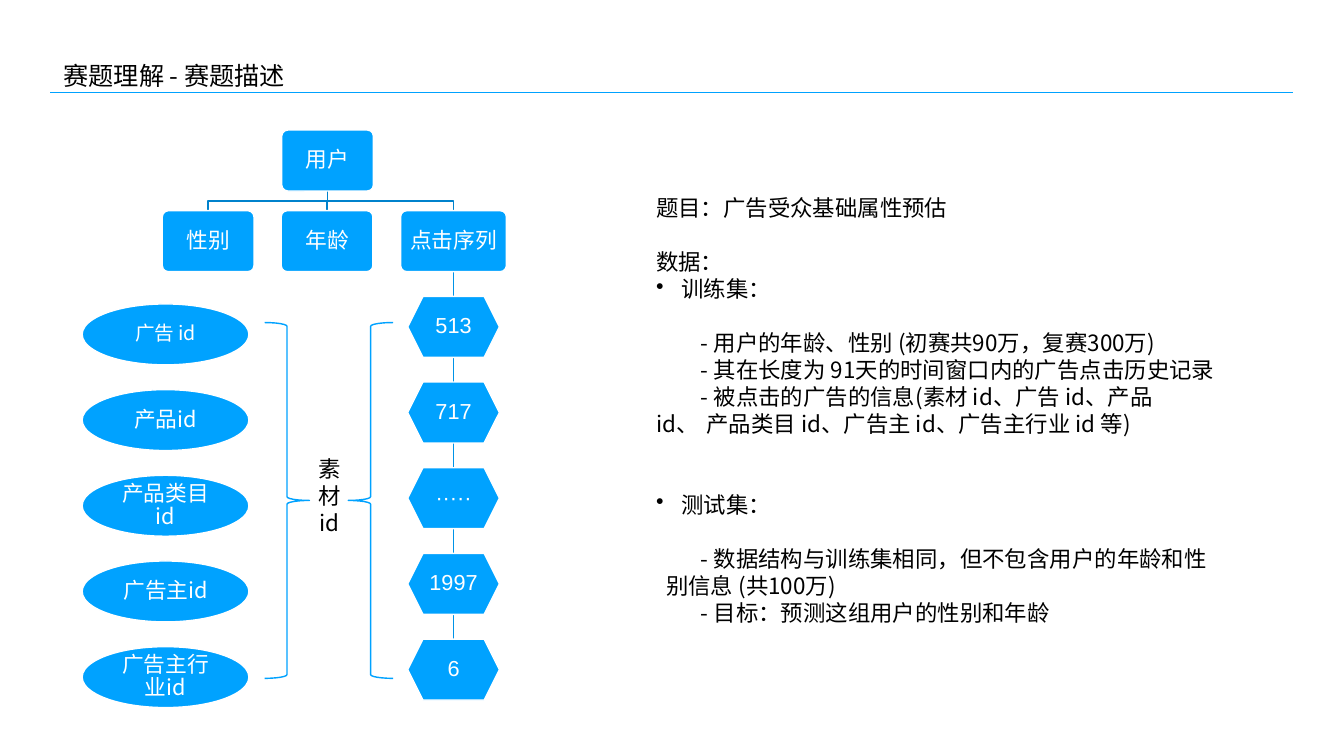
"""Build the task description slide: user data tree, id mapping and dataset notes."""
from lxml import etree
from pptx import Presentation
from pptx import util as u
from pptx.dml.color import RGBColor
from pptx.enum import shapes, text
from pptx.oxml import ns

COLORS = {"blue": "00A2FF", "branch": "0082CC", "chain": "0093E7", "white": "FFFFFF", "black": "000000"}
RGB = {name: RGBColor.from_string(value) for name, value in COLORS.items()}
CJK = "Noto Sans CJK SC"
KIND = shapes.MSO_SHAPE
ALIGN = text.PP_ALIGN
WIDTH, HEIGHT = 26.67, 15
ROW = 1.7
NODE_W, NODE_H = 1.82, 1.21
USER_TOP, CHILD_TOP = 2.58, 4.18
CHAIN_X, CHAIN_TOP = 9, 5.88
ID_LEFT, ID_TOP, ID_W = 1.63, 6.03, 3.31
LINE_PITCH = u.Pt(38.5)

deck = Presentation()
deck.slide_width, deck.slide_height = u.Inches(WIDTH), u.Inches(HEIGHT)
slide = deck.slides.add_slide(deck.slide_layouts[5])


def write(frame, content, size, font, color, inset, **paragraph_format):
    frame.word_wrap = True
    frame.auto_size = text.MSO_AUTO_SIZE.NONE
    frame.vertical_anchor = text.MSO_ANCHOR.MIDDLE
    for side in ("left", "right", "top", "bottom"):
        setattr(frame, f"margin_{side}", u.Inches(inset))
    frame.text = content
    for paragraph in frame.paragraphs:
        for key, value in paragraph_format.items():
            setattr(paragraph, key, value)
        for run in paragraph.runs:
            run.font.size, run.font.name = u.Pt(size), font
            run.font.color.rgb = RGB[color]


def rule(start_x, start_y, end_x, end_y, color):
    line = slide.shapes.add_connector(shapes.MSO_CONNECTOR.STRAIGHT, *map(u.Inches, (start_x, start_y, end_x, end_y)))
    line.line.color.rgb, line.line.width = RGB[color], u.Pt(2)
    etree.SubElement(line._element.spPr, ns.qn("a:effectLst"))


rule(1, 1.83, 25.65, 1.83, "blue")
heading = slide.shapes.title
place = {"left": 1.18, "top": 1.11, "width": 21.61, "height": 0.76}
for key, value in place.items():
    setattr(heading, key, u.Inches(value))
write(heading.text_frame, "赛题理解 - 赛题描述", 36, CJK, "black", 0.08, alignment=ALIGN.LEFT)

user_x, user_bottom = 6.5, USER_TOP + NODE_H
fork_y = (user_bottom + CHILD_TOP) / 2
attributes = [("性别", 4.13, NODE_W), ("年龄", 6.49, NODE_W), ("点击序列", CHAIN_X, 2.1)]
for label, center, width in attributes:
    route = [(user_x, user_bottom), (user_x, fork_y), (center, fork_y), (center, CHILD_TOP)]
    points = [(u.Inches(x), u.Inches(y)) for x, y in route]
    outline = slide.shapes.build_freeform(*points[0], scale=1.0)
    outline.add_line_segments(points[1:], close=False)
    branch = outline.convert_to_shape()
    branch.fill.background()
    branch.shadow.inherit = False
    branch.line.color.rgb, branch.line.width = RGB["branch"], u.Pt(2)

nodes = [("用户", KIND.ROUNDED_RECTANGLE, user_x - NODE_W / 2, USER_TOP, NODE_W, 31, "Arial")]
for label, center, width in attributes:
    nodes.append((label, KIND.ROUNDED_RECTANGLE, center - width / 2, CHILD_TOP, width, 31, "Arial"))
for row, click in enumerate(["513", "717", "·····", "1997", "6"]):
    top = CHAIN_TOP + row * ROW
    rule(CHAIN_X, top - ROW + NODE_H, CHAIN_X, top, "chain")
    nodes.append((click, KIND.HEXAGON, CHAIN_X - NODE_W / 2, top, NODE_W, 31, "Arial"))
for row, field in enumerate(["广告 id", "产品id", "产品类目id", "广告主id", "广告主行业id"]):
    nodes.append((field, KIND.OVAL, ID_LEFT, ID_TOP + row * ROW, ID_W, 31 if row else 28, CJK))

for label, kind, left, top, width, size, font in nodes:
    node = slide.shapes.add_shape(kind, *map(u.Inches, (left, top, width, NODE_H)))
    node.shadow.inherit = False
    node.fill.solid()
    node.fill.fore_color.rgb = RGB["blue"]
    node.line.color.rgb, node.line.width = RGB["white"], u.Pt(2)
    if kind == KIND.ROUNDED_RECTANGLE:
        node.adjustments[0] = 0.1
    write(node.text_frame, label, size, font, "white", 0.13, alignment=ALIGN.CENTER, line_spacing=0.9)

for kind, left in ((KIND.RIGHT_BRACE, 5.25), (KIND.LEFT_BRACE, 6.91)):
    brace = slide.shapes.add_shape(kind, *map(u.Inches, (left, 6.4, 0.89, 7.06)))
    brace.shadow.inherit = False
    brace.fill.background()
    brace.line.color.rgb, brace.line.width = RGB["blue"], u.Pt(2)

material = slide.shapes.add_textbox(*map(u.Inches, (6.09, 8.95, 0.89, 1.77)))
write(material.text_frame, "素材id", 32, CJK, "black", 0.08, alignment=ALIGN.CENTER, line_spacing=LINE_PITCH)

description = [
    ("题目：广告受众基础属性预估", 0, 0, 0),
    ("数据：", 1, 0, 0),
    ("训练集：", 0, 0.5, -0.5),
    ("- 用户的年龄、性别 (初赛共90万，复赛300万)", 1, 0, 0.89),
    ("- 其在长度为 91天的时间窗口内的广告点击历史记录", 0, 0, 0.89),
    ("- 被点击的广告的信息(素材 id、广告 id、产品\vid、\t产品类目 id、广告主 id、广告主行业 id 等)", 0, 0, 0.89),
    ("测试集：", 2, 0.5, -0.5),
    ("- 数据结构与训练集相同，但不包含用户的年龄和性\v别信息 (共100万)", 1, 0.2, 0.69),
    ("- 目标：预测这组用户的性别和年龄", 0, 0, 0.89),
]
notes = slide.shapes.add_textbox(*map(u.Inches, (12.92, 3.79, 11.61, 8.8))).text_frame
write(notes, "\n".join(line[0] for line in description), 32, CJK, "black", 0.07, line_spacing=LINE_PITCH)
notes.vertical_anchor = text.MSO_ANCHOR.TOP
notes.margin_left, notes.margin_right = u.Inches(0.1), 0
for paragraph, (content, gap_lines, margin, indent) in zip(notes.paragraphs, description):
    paragraph.space_before = gap_lines * LINE_PITCH
    properties = paragraph._p.get_or_add_pPr()
    properties.set("marL", str(u.Inches(margin)))
    properties.set("indent", str(u.Inches(indent)))
    if indent < 0:
        etree.SubElement(properties, ns.qn("a:buChar"), char="•")
    if "\t" in content:
        stops = etree.SubElement(properties, ns.qn("a:tabLst"))
        etree.SubElement(stops, ns.qn("a:tab"), pos=str(u.Inches(2)), algn="l")

deck.save("out.pptx")
